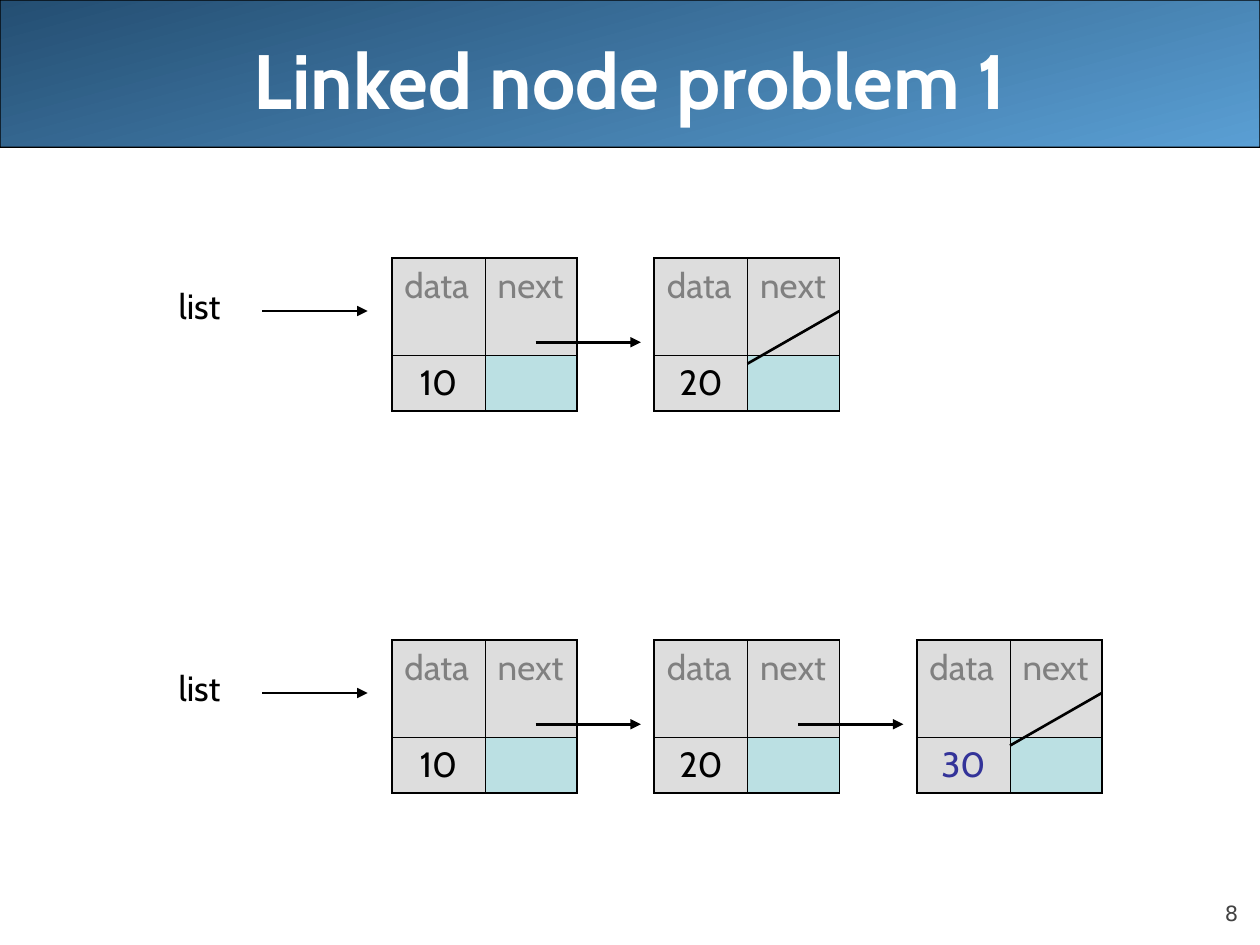
from dataclasses import dataclass

from lxml.etree import SubElement
from pptx import Presentation
from pptx.dml.color import RGBColor as RGB
from pptx.enum.shapes import MSO_CONNECTOR as CONNECTOR, MSO_SHAPE as SHAPE
from pptx.enum.text import MSO_ANCHOR as ANCHOR, MSO_AUTO_SIZE as AUTO_SIZE, PP_ALIGN as ALIGN
from pptx.oxml.ns import qn
from pptx.util import Cm, Pt


@dataclass(frozen=True)
class Theme:
    font: str = "Cabin"
    number_font: str = "DejaVu Sans"
    title_size: float = 44
    text_size: float = 20
    number_size: float = 12
    outer_line: float = 1.08
    inner_line: float = 0.45
    arrow_line: float = 1.5
    black: str = "000000"
    white: str = "FFFFFF"
    header: str = "808080"
    number: str = "424242"
    new_value: str = "333399"
    cell: str = "DDDDDD"
    reference: str = "BBE0E3"
    band_dark: str = "244E72"
    band_light: str = "5A9FD4"


THEME = Theme()

# Node measures, in centimetres
COLUMNS = (1.88, 1.85)
ROWS = (1.96, 1.12)
NODE_PITCH = 5.29
ARROW_LENGTH = 2.12


def write(frame, text, size, color, font=THEME.font, align=ALIGN.LEFT, bold=False):
    paragraph = frame.paragraphs[0]
    paragraph.alignment = align
    paragraph.space_before = Pt(0)
    run = paragraph.add_run()
    run.text = text
    run.font.name = font
    run.font.size = Pt(size)
    run.font.bold = bold
    run.font.color.rgb = RGB.from_string(color)


def add_line(slide, start, end, arrow=False):
    line = slide.shapes.add_connector(CONNECTOR.STRAIGHT, *map(Cm, start + end))
    line.line.color.rgb = RGB.from_string(THEME.black)
    line.line.width = Pt(THEME.arrow_line)
    properties = line.element.spPr
    if arrow:
        SubElement(properties.find(qn("a:ln")), qn("a:tailEnd"), type="triangle")
    SubElement(properties, qn("a:effectLst"))


def add_arrow(slide, left, top):
    add_line(slide, (left, top), (left + ARROW_LENGTH, top), arrow=True)


def set_borders(cell, row, column):
    properties = cell._tc.get_or_add_tcPr()
    outer_sides = ("L" if column == 0 else "R", "T" if row == 0 else "B")
    for position, side in enumerate("LRTB"):
        width = THEME.outer_line if side in outer_sides else THEME.inner_line
        border = SubElement(properties, qn(f"a:ln{side}"), w=str(int(Pt(width))))
        fill = SubElement(border, qn("a:solidFill"))
        SubElement(fill, qn("a:srgbClr"), val=THEME.black)
        properties.insert(position, border)


def add_node(slide, left, top, value, color):
    """One list node: field names above, value and reference below."""
    table = slide.shapes.add_table(
        2, 2, Cm(left), Cm(top), Cm(sum(COLUMNS)), Cm(sum(ROWS))).table
    table.first_row = table.horz_banding = False
    for column, width in zip(table.columns, COLUMNS):
        column.width = Cm(width)
    for row, height in zip(table.rows, ROWS):
        row.height = Cm(height)

    contents = (
        (("data", THEME.header, ALIGN.LEFT), ("next", THEME.header, ALIGN.LEFT)),
        ((value, color, ALIGN.CENTER), None),
    )
    for row, fields in enumerate(contents):
        for column, field in enumerate(fields):
            cell = table.cell(row, column)
            cell.fill.solid()
            cell.fill.fore_color.rgb = RGB.from_string(
                THEME.cell if field else THEME.reference)
            set_borders(cell, row, column)
            if field:
                text, text_color, align = field
                write(cell.text_frame, text, THEME.text_size, text_color, align=align)


def add_linked_list(slide, left, top, nodes):
    """A labelled chain of nodes, closed by a null slash."""
    # Variable name and its reference
    label = slide.shapes.add_textbox(Cm(left), Cm(top + 0.41), Cm(1.47), Cm(1.12))
    label.text_frame.word_wrap = False
    label.text_frame.auto_size = AUTO_SIZE.SHAPE_TO_FIT_TEXT
    write(label.text_frame, "list", THEME.text_size, THEME.black)
    add_arrow(slide, left + 1.94, top + 1.07)

    # Nodes and the links between them
    first_left = left + 4.55
    for index, (value, color) in enumerate(nodes):
        add_node(slide, first_left + index * NODE_PITCH, top, value, color)
    for index in range(len(nodes) - 1):
        add_arrow(slide, first_left + index * NODE_PITCH + 2.9, top + 1.7)

    # Null reference of the last node
    last_left = first_left + (len(nodes) - 1) * NODE_PITCH
    add_line(slide, (last_left + sum(COLUMNS), top + 1.07),
             (last_left + COLUMNS[0], top + 2.13))


def add_title_band(slide, left, top, width, height):
    band = slide.shapes.add_shape(
        SHAPE.ROUNDED_RECTANGLE, Cm(left), Cm(top), Cm(width), Cm(height))
    band.adjustments[0] = 0.001
    band.shadow.inherit = False
    band.fill.gradient()
    band.fill.gradient_angle = 285
    for stop, color in zip(band.fill.gradient_stops, (THEME.band_dark, THEME.band_light)):
        stop.color.rgb = RGB.from_string(color)
    band.line.color.rgb = RGB.from_string(THEME.black)
    band.line.width = Pt(0.75)

    # The title stands in front of the band
    title = slide.shapes.title
    title.element.addprevious(band.element)
    title.left, title.top = Cm(left + 1.27), Cm(top)
    title.width, title.height = Cm(width - 2.54), Cm(height + 0.2)
    title.text_frame.vertical_anchor = ANCHOR.MIDDLE
    write(title.text_frame, "Linked node problem 1", THEME.title_size, THEME.white,
          align=ALIGN.CENTER, bold=True)


def add_slide_number(slide, left, top, width, height):
    box = slide.shapes.add_textbox(Cm(left), Cm(top), Cm(width), Cm(height))
    frame = box.text_frame
    frame.word_wrap = True
    frame.vertical_anchor = ANCHOR.BOTTOM
    frame.margin_left = frame.margin_right = frame.margin_top = frame.margin_bottom = 0
    write(frame, "8", THEME.number_size, THEME.number, THEME.number_font, ALIGN.RIGHT)


def main():
    presentation = Presentation()
    presentation.slide_width, presentation.slide_height = Cm(25.4), Cm(19.05)
    slide = presentation.slides.add_slide(presentation.slide_layouts.get_by_name("Title Only"))

    add_title_band(slide, 0, 0, 25.4, 2.97)
    before = [("10", THEME.black), ("20", THEME.black)]
    add_linked_list(slide, 3.35, 5.2, before)
    add_linked_list(slide, 3.35, 12.9, before + [("30", THEME.new_value)])
    add_slide_number(slide, 22.86, 17.65, 2.1, 1.02)

    presentation.save("out.pptx")


if __name__ == "__main__":
    main()
